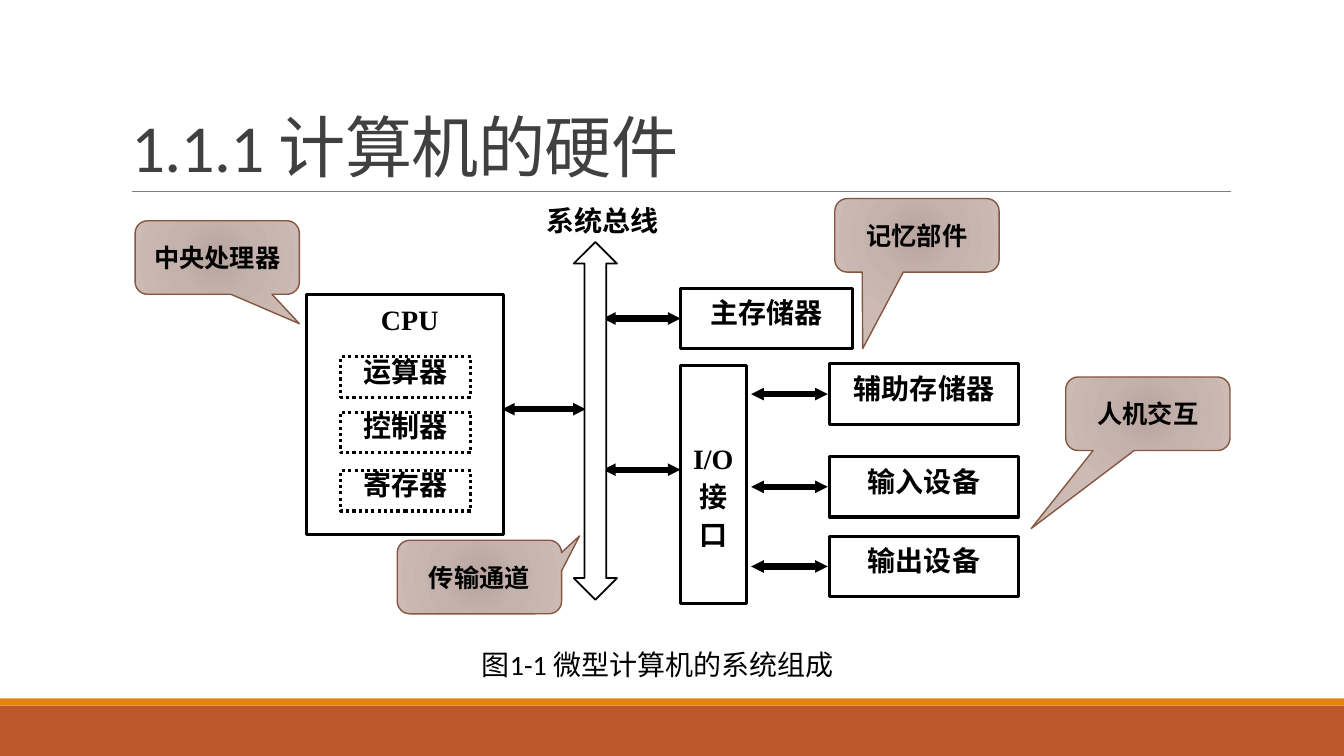
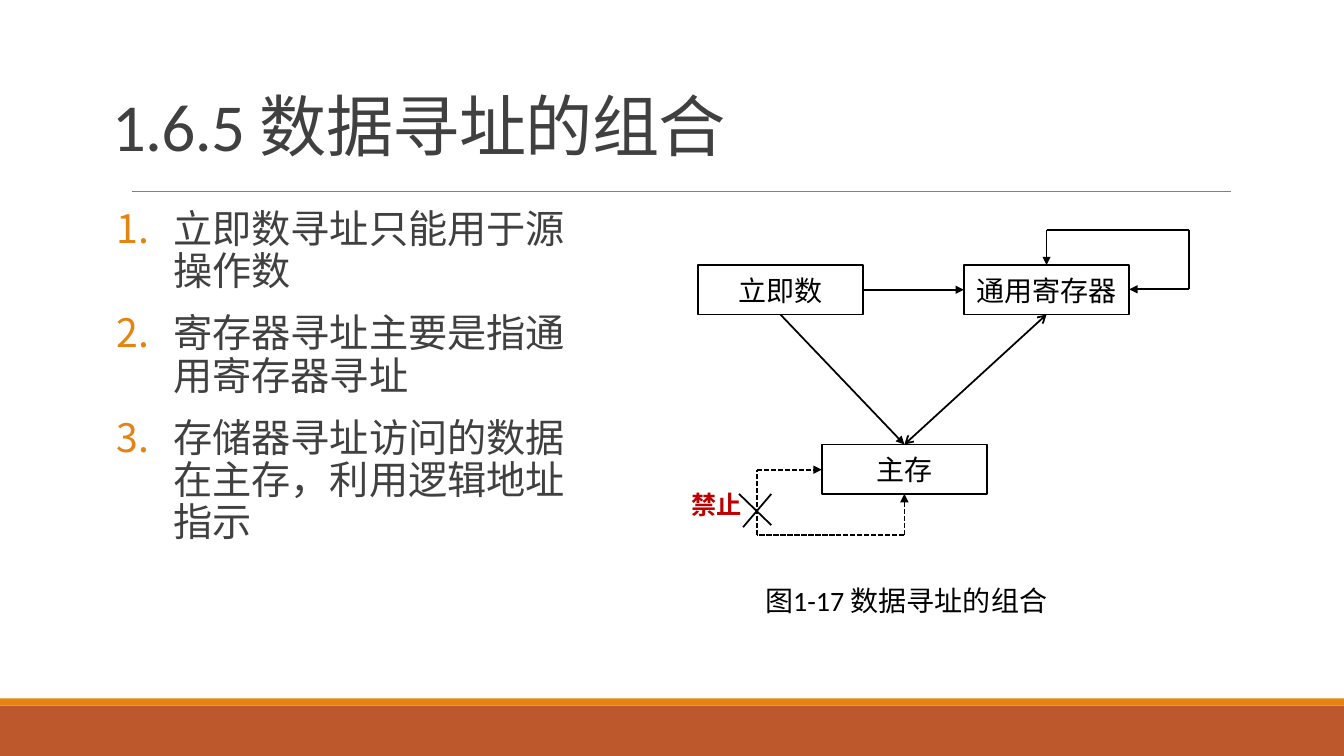
from pptx import Presentation
from pptx.dml.color import RGBColor
from pptx.enum.dml import MSO_LINE_DASH_STYLE as DASH
from pptx.enum.shapes import MSO_CONNECTOR, MSO_SHAPE as SHAPE
from pptx.enum.text import MSO_ANCHOR as ANCHOR, MSO_AUTO_SIZE as AUTO_SIZE, PP_ALIGN as ALIGN
from pptx.oxml import parse_xml
from pptx.oxml.ns import nsdecls
from pptx.oxml.xmlchemy import OxmlElement
from pptx.util import Inches, Pt

# Shared look
BLACK, WHITE = RGBColor(0, 0, 0), RGBColor(255, 255, 255)
DARK_GREY, RULE_GREY = RGBColor(0x40, 0x40, 0x40), RGBColor(0x80, 0x80, 0x80)
RUST, ORANGE = RGBColor(0xBD, 0x58, 0x2C), RGBColor(0xE4, 0x83, 0x12)
BROWN, RED = RGBColor(0x86, 0x56, 0x40), RGBColor(0xC0, 0, 0)
CALLOUT_STOPS = [(0, RGBColor(0xB9, 0xA4, 0x9E)), (45, RGBColor(0xC4, 0xB2, 0xAD)),
                 (100, RGBColor(0xCC, 0xBA, 0xB5))]
SANS, SERIF = "Calibri", "Times New Roman"
CENTER = ALIGN.CENTER

# Slide 1: hardware diagram
HARDWARE_TITLE = ("1.1.1 计算机的硬件", (1.2, 0.31, 11, 1.59))
HARDWARE_CAPTION = ("图1-1 微型计算机的系统组成", (4.68, 6.37, 4.01, 0.44))
CPU_BOX = (3.04, 2.92, 1.95, 2.38)
CPU_PARTS = [("运算器", 3.54), ("控制器", 4.09), ("寄存器", 4.67)]
MAIN_MEMORY = ("主存储器", (6.75, 2.86, 1.71, 0.6))
IO_LINES, IO_BOX = ["I/O", "接", "口"], (6.75, 3.63, 0.65, 2.36)
DEVICES = [("辅助存储器", 3.61), ("输入设备", 4.53), ("输出设备", 5.32)]
DEVICE_LEFT, DEVICE_WIDTH, DEVICE_HEIGHT = 8.23, 1.87, 0.6
LABELS = [("系统总线", (4.96, 2.01, 2.03, 0.39), 0), ("CPU", (3.56, 2.99, 1.01, 0.36), 3)]
BUS_ARROW = (5.69, 2.4, 0.43, 3.55)
BUS_LINKS = [(5.98, 6.75, 3.16), (4.98, 5.81, 4.06), (5.98, 6.75, 4.66)]
CALLOUTS = [  # text, left, top, pointer offset
    ("中央处理器", 1.34, 2.19, (0.5, 0.9)),
    ("记忆部件", 8.28, 1.97, (-0.33, 1.54)),
    ("人机交互", 10.57, 3.74, (-0.71, 1.56)),
    ("传输通道", 3.94, 5.36, (0.61, -0.56)),
]

# Slide 2: addressing diagram
ADDRESSING_TITLE = ("1.6.5 数据寻址的组合", (1.01, 0.55, 11.5, 1.14))
ADDRESSING_CAPTION = ("图1-17 数据寻址的组合", (7.49, 5.74, 3.48, 0.44))
ADDRESSING_RULES = ["立即数寻址只能用于源操作数", "寄存器寻址主要是指通用寄存器寻址",
                    "存储器寻址访问的数据在主存，利用逻辑地址指示"]
RULES_BOX = (1.16, 2.03, 4.59, 4.15)
NODES = {"立即数": (6.92, 2.63), "通用寄存器": (9.56, 2.63), "主存": (8.15, 4.41)}
NODE_WIDTH, NODE_HEIGHT = 1.64, 0.49
TOP, LEFT, BOTTOM, RIGHT = range(4)  # connection sites of a rectangle
NODE_LINKS = [  # from, site, to, site, head, tail
    ("立即数", BOTTOM, "主存", TOP, None, "triangle"),
    ("立即数", RIGHT, "通用寄存器", LEFT, None, "triangle"),
    ("通用寄存器", BOTTOM, "主存", TOP, "arrow", "arrow"),
]
LOOPS = [  # route with an arrow at each end, dash
    ([(10.38, 2.63), (10.38, 2.28), (11.79, 2.28), (11.79, 2.87), (11.2, 2.87)], None),
    ([(8.97, 4.9), (8.97, 5.31), (7.51, 5.31), (7.51, 4.66), (8.15, 4.66)],
     DASH.SQUARE_DOT),
]
FORBIDDEN = ("禁止", (6.76, 4.8, 0.99, 0.41))
CROSS = [((7.65, 4.9), (7.37, 5.23)), ((7.33, 4.9), (7.65, 5.21))]


def inches(values):
    return [Inches(value) for value in values]


def write(shape, lines, size, font=SANS, color=BLACK, bold=False, align=None,
          anchor=ANCHOR.TOP, inset=None, spacing=None, before=None):
    """Fill a shape's text frame, one paragraph per line."""
    frame = shape.text_frame
    frame.word_wrap = True
    frame.auto_size = AUTO_SIZE.NONE
    frame.vertical_anchor = anchor
    if inset is not None:
        (frame.margin_left, frame.margin_top,
         frame.margin_right, frame.margin_bottom) = inches(inset)
    for index, line in enumerate(lines):
        paragraph = frame.add_paragraph() if index else frame.paragraphs[0]
        paragraph.alignment = align
        paragraph.line_spacing = spacing
        if before is not None:
            paragraph.space_before = Pt(before)
        run = paragraph.add_run()
        run.text = line
        run.font.name, run.font.size = font, Pt(size)
        run.font.bold, run.font.color.rgb = bold, color


def add_box(slide, box, kind=SHAPE.RECTANGLE, fill=None, line=BLACK, width=2.25, dash=None):
    shape = slide.shapes.add_shape(kind, *inches(box))
    shape.shadow.inherit = False
    if fill is None:
        shape.fill.background()
    else:
        shape.fill.solid()
        shape.fill.fore_color.rgb = fill
    if line is None:
        shape.line.fill.background()
    else:
        shape.line.color.rgb = line
        shape.line.width = Pt(width)
        shape.line.dash_style = dash
    return shape


def add_line(slide, start, end, width=1.25, color=BLACK, dash=None,
             head=None, tail=None, head_size="med"):
    connector = slide.shapes.add_connector(MSO_CONNECTOR.STRAIGHT, *inches(start + end))
    connector.line.color.rgb = color
    connector.line.width = Pt(width)
    connector.line.dash_style = dash
    outline = connector.line._get_or_add_ln()
    for tag, kind in (("a:headEnd", head), ("a:tailEnd", tail)):
        if kind:
            arrowhead = OxmlElement(tag)
            for name, value in (("type", kind), ("w", head_size), ("len", head_size)):
                arrowhead.set(name, value)
            outline.append(arrowhead)
    connector._element.spPr.append(OxmlElement("a:effectLst"))
    return connector


def add_text(slide, text, box, size=20, **style):
    write(slide.shapes.add_textbox(*inches(box)), [text], size, **style)


def place(shape, box):
    shape.left, shape.top, shape.width, shape.height = inches(box)


def add_slide(presentation, layout_index, title, caption):
    """New slide with its title and figure caption."""
    slide = presentation.slides.add_slide(presentation.slide_layouts[layout_index])
    text, box = title
    place(slide.shapes.title, box)
    write(slide.shapes.title, [text], 48, color=DARK_GREY, align=ALIGN.LEFT,
          anchor=ANCHOR.BOTTOM, spacing=0.85)
    run = slide.shapes.title.text_frame.paragraphs[0].runs[0]
    run.font._element.set("spc", "-50")
    add_text(slide, *caption)
    return slide


def decorate_master(presentation, slide):
    """Draw the bands and title rule, then move them to the slide master."""
    parts = [
        add_box(slide, (0, 7, 13.33, 0.5), fill=RUST, line=None),
        add_box(slide, (0, 6.93, 13.33, 0.07), fill=ORANGE, line=None),
        add_line(slide, (1.31, 1.9), (12.21, 1.9), 0.5, RULE_GREY),
    ]
    tree = presentation.slide_master.shapes._spTree
    for number, part in enumerate(parts, 100):
        part._element.xpath(".//p:cNvPr")[0].set("id", str(number))
        tree.append(part._element)


def add_callout(slide, text, left, top, pointer):
    callout = add_box(slide, (left, top, 1.63, 0.73), SHAPE.ROUNDED_RECTANGULAR_CALLOUT,
                      fill=WHITE, line=BROWN, width=1)
    for index, value in enumerate((*pointer, 0.17)):
        callout.adjustments[index] = value
    stops = "".join(f'<a:gs pos="{position * 1000}"><a:srgbClr val="{color}"/></a:gs>'
                    for position, color in CALLOUT_STOPS)
    gradient = parse_xml(
        f'<a:gradFill {nsdecls("a")}><a:gsLst>{stops}</a:gsLst><a:path path="circle">'
        '<a:fillToRect l="100000" t="100000" r="100000" b="100000"/></a:path></a:gradFill>')
    properties = callout._element.spPr
    properties.replace(properties.find(gradient.tag.replace("gradFill", "solidFill")), gradient)
    write(callout, [text], 18, bold=True, align=CENTER, anchor=ANCHOR.MIDDLE)


def build_hardware(slide):
    label = dict(font=SERIF, bold=True, align=CENTER, inset=[0.01] * 4)

    # Processor and its parts
    add_box(slide, CPU_BOX)
    for text, top in CPU_PARTS:
        part = add_box(slide, (3.38, top, 1.29, 0.4), dash=DASH.ROUND_DOT)
        write(part, [text], 20, spacing=0.9, **label)
    for text, box, before in LABELS:
        add_text(slide, text, box, before=before, **label)

    # I/O interface, memory and devices
    write(add_box(slide, IO_BOX), IO_LINES, 20, before=3,
          **{**label, "inset": (0.01, 0.75, 0.01, 0.01)})
    devices = [(text, (DEVICE_LEFT, top, DEVICE_WIDTH, DEVICE_HEIGHT)) for text, top in DEVICES]
    for text, box in [MAIN_MEMORY, *devices]:
        write(add_box(slide, box), [text], 20, spacing=1.2, before=3, **label)

    # Two-way links and the bus
    device_links = [(7.45, 8.21, top + DEVICE_HEIGHT / 2) for _, top in DEVICES]
    for start, end, y in BUS_LINKS + device_links:
        add_line(slide, (start, y), (end, y), 4.5, head="triangle", tail="triangle",
                 head_size="sm")
    for callout in CALLOUTS:
        add_callout(slide, *callout)
    add_box(slide, BUS_ARROW, SHAPE.UP_DOWN_ARROW, fill=WHITE, width=1.25)


def build_addressing(slide):
    # Numbered rules
    body = slide.placeholders[1]
    place(body, RULES_BOX)
    write(body, ADDRESSING_RULES, 28, color=DARK_GREY, inset=(0, 0.05, 0, 0.05),
          spacing=0.9, before=12)
    for paragraph in body.text_frame.paragraphs:
        paragraph.space_after = Pt(2)
        properties = paragraph._p.get_or_add_pPr()
        properties.set("marL", str(Inches(0.56)))
        properties.set("indent", str(-Inches(0.56)))
        properties.append(parse_xml(
            f'<a:buClr {nsdecls("a")}><a:srgbClr val="{ORANGE}"/></a:buClr>'))
        properties.append(parse_xml(f'<a:buAutoNum {nsdecls("a")} type="arabicPeriod"/>'))

    # Nodes and the links glued to them
    nodes = {}
    for text, corner in NODES.items():
        nodes[text] = add_box(slide, (*corner, NODE_WIDTH, NODE_HEIGHT), fill=WHITE, width=1.25)
        write(nodes[text], [text], 20, align=CENTER, anchor=ANCHOR.MIDDLE)
    for source, source_site, target, target_site, head, tail in NODE_LINKS:
        link = add_line(slide, (0, 0), (1, 1), head=head, tail=tail)
        link.begin_connect(nodes[source], source_site)
        link.end_connect(nodes[target], target_site)

    # Loops back to the same node
    for route, dash in LOOPS:
        for start, end in zip(route, route[1:]):
            add_line(slide, start, end, dash=dash,
                     head="triangle" if start == route[0] else None,
                     tail="triangle" if end == route[-1] else None)

    # Forbidden mark
    add_text(slide, *FORBIDDEN, size=18, color=RED, bold=True)
    for start, end in CROSS:
        add_line(slide, start, end)


def main():
    presentation = Presentation()
    presentation.slide_width, presentation.slide_height = inches((13.33, 7.5))
    hardware = add_slide(presentation, 5, HARDWARE_TITLE, HARDWARE_CAPTION)
    decorate_master(presentation, hardware)
    build_hardware(hardware)
    build_addressing(add_slide(presentation, 1, ADDRESSING_TITLE, ADDRESSING_CAPTION))
    presentation.save("out.pptx")


if __name__ == "__main__":
    main()
